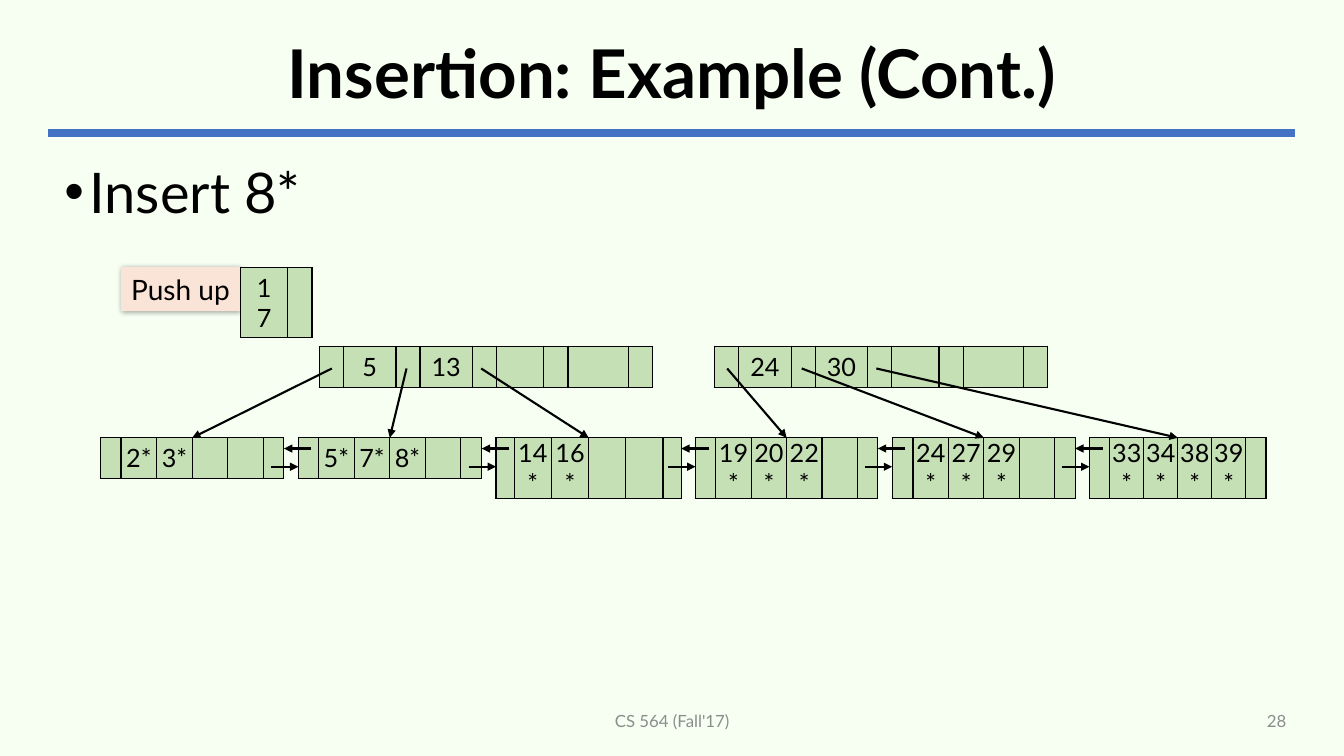
import pptx
import pptx.util
import pptx.dml.color
import pptx.enum.shapes
import pptx.enum.text
import pptx.oxml
import pptx.oxml.ns
from dataclasses import dataclass

Pt = pptx.util.Pt
Align = pptx.enum.text.PP_ALIGN
Anchor = pptx.enum.text.MSO_ANCHOR
Shape = pptx.enum.shapes.MSO_SHAPE
Link = pptx.enum.shapes.MSO_CONNECTOR


@dataclass
class Theme:
    font: str = "Lato"
    back: str = "F7FFF3"
    ink: str = "000000"
    mute: str = "8C8C8C"
    rule: str = "4472C4"
    node: str = "C5E0B4"
    tag: str = "FAE4D7"
    title: int = 48
    body: int = 40
    label: int = 20
    key: int = 18
    foot: int = 12


def color(code):
    return pptx.dml.color.RGBColor.from_string(code)


def make(xml):
    space = pptx.oxml.ns.nsdecls("a")
    return pptx.oxml.parse_xml(xml.replace(" ns", " " + space, 1))


class Deck:
    def __init__(self, theme):
        self.theme = theme
        self.show = pptx.Presentation()
        self.show.slide_width, self.show.slide_height = Pt(960), Pt(540)
        self.slide = self.show.slides.add_slide(self.show.slide_layouts[6])
        fill = self.slide.background.fill
        fill.solid()
        fill.fore_color.rgb = color(theme.back)

    def put(self, frame, text, size, tint, align, bold=False):
        part = frame.paragraphs[0]
        part.alignment = align
        run = part.add_run()
        run.text = text
        run.font.name, run.font.size, run.font.bold = self.theme.font, Pt(size), bold
        run.font.color.rgb = color(tint)
        return part

    def text(self, box, text, size, tint=None, align=Align.LEFT,
             anchor=Anchor.MIDDLE, bold=False):
        frame = self.slide.shapes.add_textbox(*map(Pt, box)).text_frame
        frame.word_wrap = True
        frame.vertical_anchor = anchor
        return self.put(frame, text, size, tint or self.theme.ink, align, bold)

    def bullet(self, box, text, size):
        part = self.text(box, text, size, anchor=Anchor.TOP)
        part.space_before = Pt(10)
        props = part._p.get_or_add_pPr()
        props.set("marL", str(Pt(18)))
        props.set("indent", str(-Pt(18)))
        props.append(make('<a:buFont ns typeface="Arial"/>'))
        props.append(make('<a:buChar ns char="\u2022"/>'))

    def label(self, box, text):
        tag = self.slide.shapes.add_shape(Shape.RECTANGLE, *map(Pt, box))
        tag.shadow.inherit = False
        tag.fill.solid()
        tag.fill.fore_color.rgb = color(self.theme.tag)
        tag.line.fill.background()
        glow = make(
            f'<a:outerShdw ns blurRad="{Pt(4)}" dist="{Pt(1)}" dir="2700000">'
            f'<a:srgbClr val="{self.theme.ink}"><a:alpha val="40000"/>'
            '</a:srgbClr></a:outerShdw>')
        tag._element.spPr.find(pptx.oxml.ns.qn("a:effectLst")).append(glow)
        tag.text_frame.vertical_anchor = Anchor.TOP
        tag.text_frame.word_wrap = False
        self.put(tag.text_frame, text, self.theme.label, self.theme.ink, Align.LEFT)

    def line(self, start, end, tint=None, width=1.5, arrow=True):
        link = self.slide.shapes.add_connector(
            Link.STRAIGHT, *map(Pt, (*start, *end)))
        link.line.color.rgb = color(tint or self.theme.ink)
        link.line.width = Pt(width)
        props = link._element.spPr
        if arrow:
            props.find(pptx.oxml.ns.qn("a:ln")).append(
                make('<a:tailEnd ns type="triangle"/>'))
        props.append(make("<a:effectLst ns/>"))

    def node(self, left, top, high, cols, keys, tight=False):
        """Draw one tree node; keys maps a column to its text."""
        grid = self.slide.shapes.add_table(
            1, len(cols), *map(Pt, (left, top, sum(cols), high))).table
        grid.first_row = grid.horz_banding = False
        grid.rows[0].height = Pt(high)
        for place, wide in enumerate(cols):
            grid.columns[place].width = Pt(wide)
            cell = grid.cell(0, place)
            cell.fill.solid()
            cell.fill.fore_color.rgb = color(self.theme.node)
            cell.vertical_anchor = Anchor.MIDDLE
            if tight:
                cell.margin_left = cell.margin_right = 0
                cell.margin_top = cell.margin_bottom = 0
            for spot, side in enumerate("LRTB"):
                cell._tc.get_or_add_tcPr().insert(spot, make(
                    f'<a:ln{side} ns w="{Pt(1)}"><a:solidFill><a:srgbClr '
                    f'val="{self.theme.ink}"/></a:solidFill></a:ln{side}>'))
            if place in keys:
                self.put(cell.text_frame, keys[place], self.theme.key,
                         self.theme.ink, Align.CENTER)
            else:
                cell.text_frame.paragraphs[0].font.size = Pt(self.theme.key)


theme = Theme()
deck = Deck(theme)

# Heading, bullet and footer
deck.line((34.6, 95), (925.2, 95), theme.rule, 6, False)
head = deck.text((34.6, 17.3, 890.6, 74.9), "Insertion: Example (Cont.)",
                 theme.title, align=Align.CENTER, bold=True)
head.line_spacing = 0.9
deck.bullet((38.9, 108.7, 879, 113), "Insert 8*", theme.body)
deck.text((318.2, 500.4, 324, 28.8), "CS 564 (Fall'17)", theme.foot,
          theme.mute, Align.CENTER)
deck.text((678.2, 500.4, 247.7, 28.8), "28", theme.foot, theme.mute, Align.RIGHT)

# Key pushed up to the parent
deck.label((86.6, 190.8, 85, 31.5), "Push up")
deck.node(171.8, 190.8, 32.4, (33.8, 16.6), {0: "17"})

# Inner nodes
inner = [(228.2, ("5", "13")), (510.5, ("24", "30"))]
link = 16.6
spans = (link, 37.4, link, 37.4, link, 33.8, link, 43.2, link)
for left, (low, high) in inner:
    deck.node(left, 247.3, 29.5, spans, {1: low, 3: high})

# Leaves: left edge, end width, slot width, entries
leaves = [
    (72, 14.5, 25.4, (2, 3)),
    (213.1, 14.5, 25.4, (5, 7, 8)),
    (354.3, 13, 26.6, (14, 16)),
    (496.8, 14.5, 25.3, (19, 20, 22)),
    (637.3, 14.9, 25.3, (24, 27, 29)),
    (778.2, 14.5, 24.3, (33, 34, 38, 39)),
]
base = 312.7
for left, edge, slot, items in leaves:
    keys = {place: f"{item}*" for place, item in enumerate(items, 1)}
    deck.node(left, base, 29.2, (edge, *[slot] * 4, edge), keys, True)

# Pointers from inner nodes to leaves
for place, (left, edge, slot, items) in enumerate(leaves):
    group, child = divmod(place, 3)
    start = inner[group][0] + 8.9 + 53.3 * child
    deck.line((start, 263.2), (left + edge + 2 * slot, base))

# Links between neighbouring leaves
for left, *rest in leaves[1:]:
    deck.line((left + 9.4, 320.4), (left - 10.2, 320.4))
    deck.line((left - 19.5, 333.4), (left, 333.4))

deck.show.save("out.pptx")
